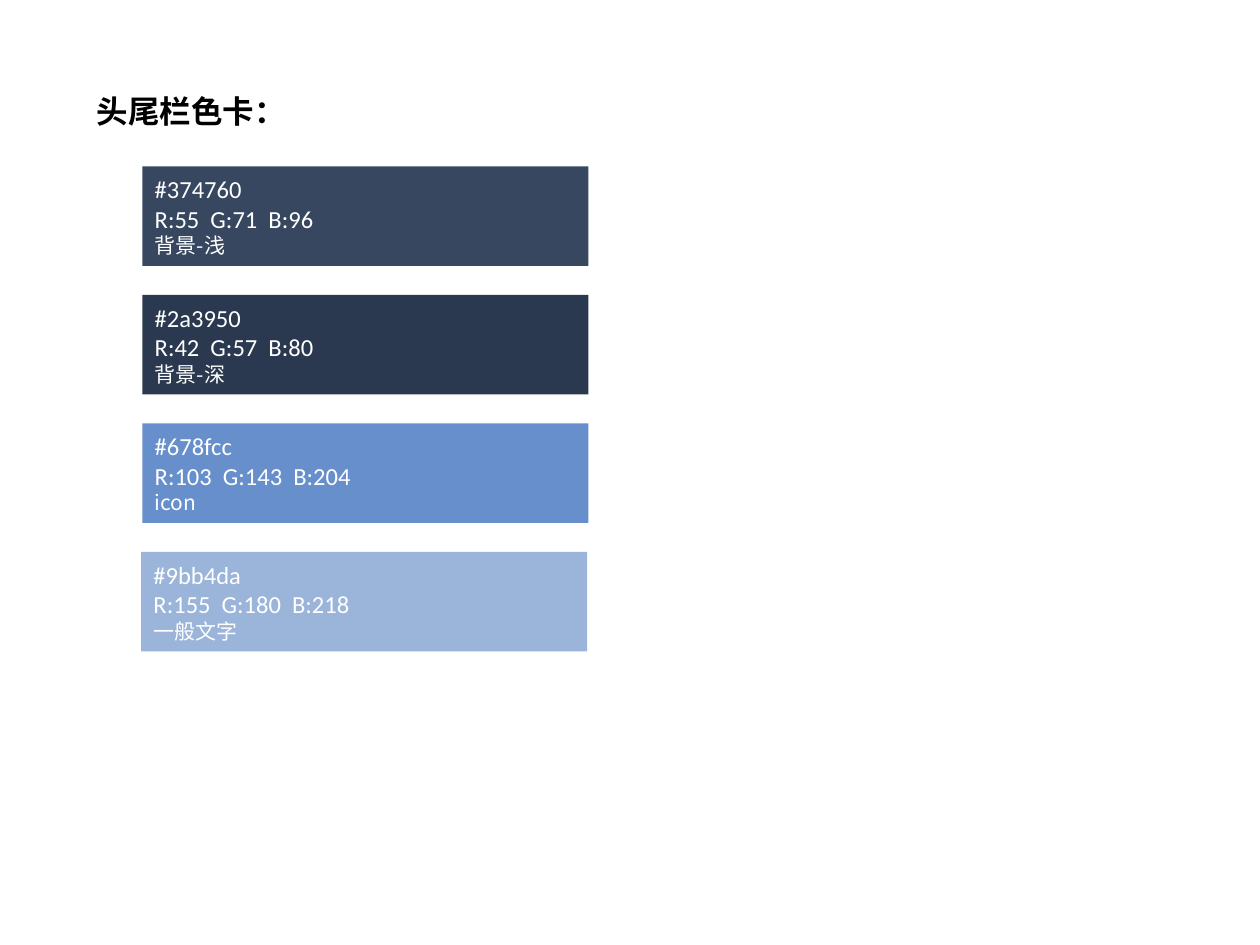
"""Build a slide of colour cards for the header and footer bars."""
from lxml.etree import SubElement
from pptx import Presentation
from pptx.dml.color import RGBColor
from pptx.enum.shapes import MSO_SHAPE
from pptx.enum.text import MSO_ANCHOR, MSO_AUTO_SIZE, PP_ALIGN
from pptx.oxml.ns import qn
from pptx.util import Inches, Pt

BLACK = RGBColor(0, 0, 0)
WHITE = RGBColor(255, 255, 255)
LATIN, CJK = "Calibri", "Noto Sans CJK SC"
LEFT, TOP, WIDTH, HEIGHT, PITCH = 1.13, 1.32, 3.54, 0.79, 1.02
CARDS = [
    (RGBColor(55, 71, 96), "背景-浅", 0),
    (RGBColor(42, 57, 80), "背景-深", 0),
    (RGBColor(103, 143, 204), "icon", 0),
    (RGBColor(155, 180, 218), "一般文字", -0.01),
]


def add_text(p, text, **fmt):
    r = p.add_run()
    r.text = text
    color = fmt.pop("color")
    for key, value in fmt.items():
        setattr(r.font, key, value)
    r.font.color.rgb = color
    SubElement(r.font._element, qn("a:ea"), typeface=CJK)


prs = Presentation()
prs.slide_width, prs.slide_height = Inches(10), Inches(7.5)
s = prs.slides.add_slide(prs.slide_layouts[6])

tf = s.shapes.add_textbox(Inches(0.67), Inches(0.53), Inches(8.66), Inches(0.5)).text_frame
tf.word_wrap = True
tf.auto_size = MSO_AUTO_SIZE.SHAPE_TO_FIT_TEXT
p = tf.paragraphs[0]
p.line_spacing = 1.5
pPr = p._p.get_or_add_pPr()
for key, value in {"marL": Inches(0.38), "indent": Inches(-0.38)}.items():
    pPr.set(key, str(value))
add_text(p, "头尾栏色卡：", name=CJK, size=Pt(18), bold=True, color=BLACK)

for row, (color, usage, shift) in enumerate(CARDS):
    sp = s.shapes.add_shape(MSO_SHAPE.RECTANGLE, Inches(LEFT + shift), Inches(TOP + row * PITCH),
                            Inches(WIDTH), Inches(HEIGHT))
    sp.shadow.inherit = False
    sp.fill.solid()
    sp.fill.fore_color.rgb = color
    sp.line.fill.background()
    tf = sp.text_frame
    tf.vertical_anchor = MSO_ANCHOR.MIDDLE
    lines = [
        (f"#{color}".lower(), LATIN, 14),
        ("R:{}  G:{}  B:{}".format(*color), LATIN, 14),
        (usage, CJK, 12),
    ]
    for i, (text, font, size) in enumerate(lines):
        p = tf.add_paragraph() if i else tf.paragraphs[0]
        p.alignment = PP_ALIGN.LEFT
        add_text(p, text, name=font, size=Pt(size), color=WHITE)

prs.save("out.pptx")
